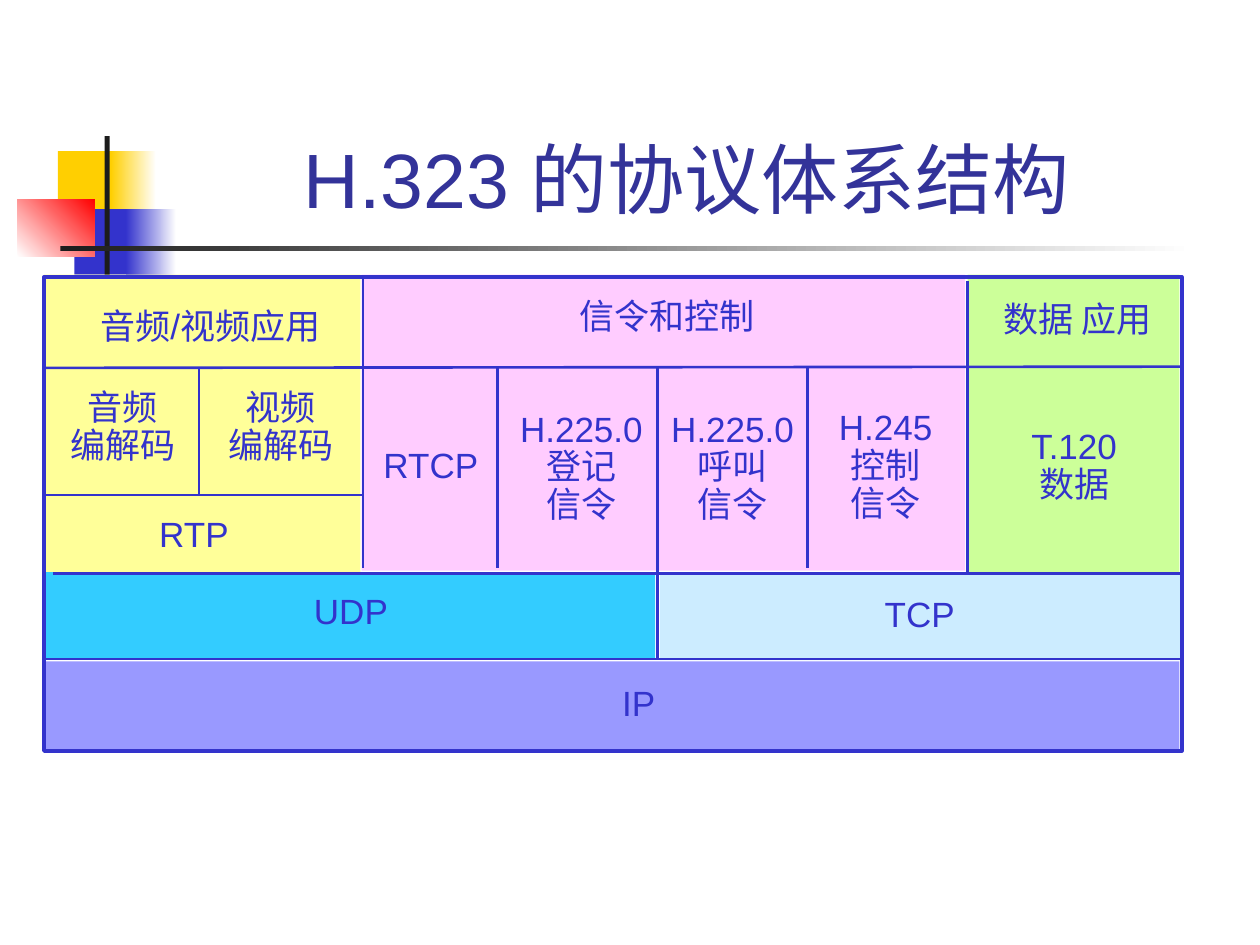
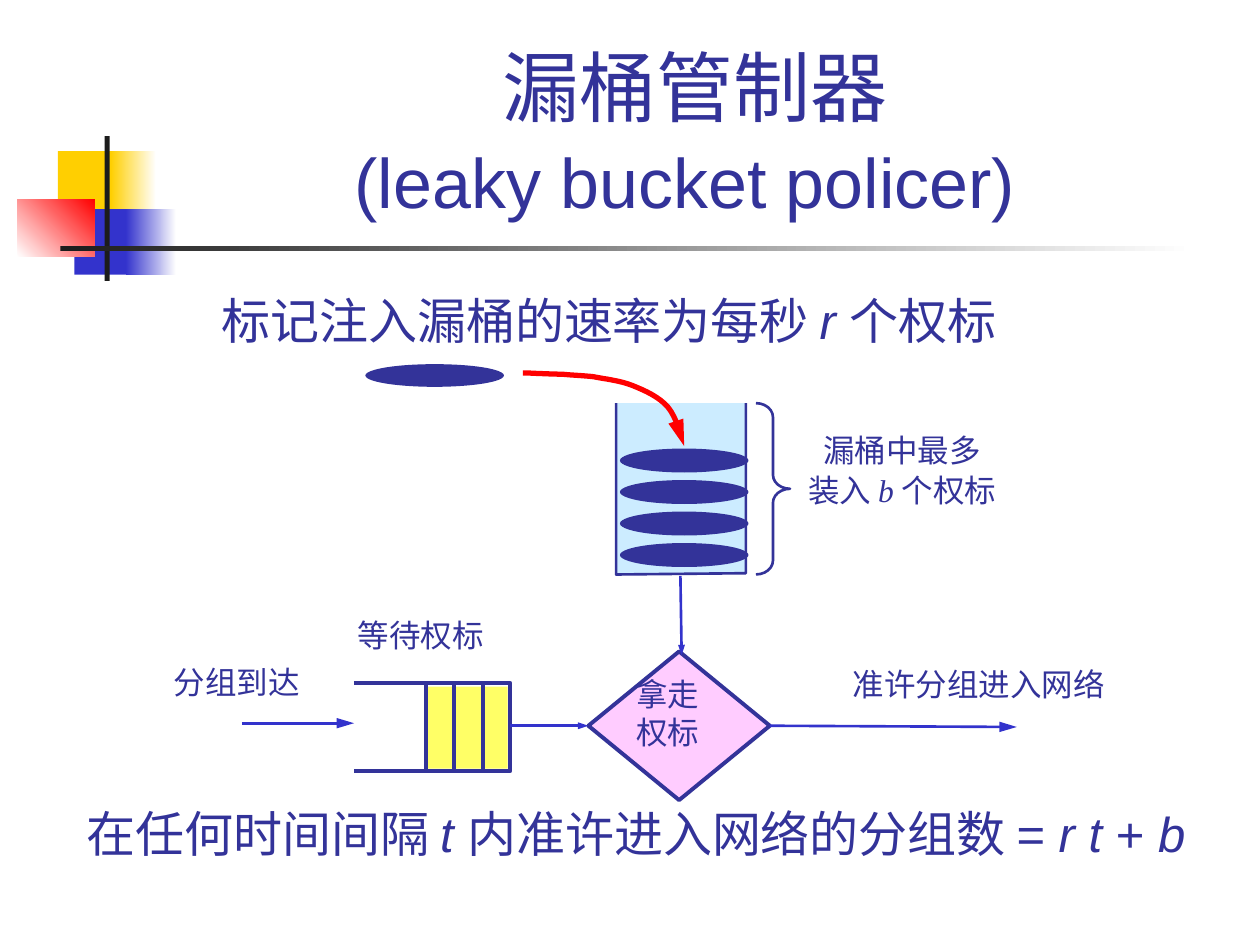
from lxml.etree import SubElement
from pptx import Presentation
from pptx.dml.color import RGBColor
from pptx.enum.shapes import MSO_CONNECTOR, MSO_SHAPE as SHAPE
from pptx.enum.text import MSO_ANCHOR, MSO_AUTO_SIZE as FIT, PP_ALIGN as ALIGN
from pptx.oxml.ns import qn
from pptx.util import Inches, Pt

BLUE, NAVY, INK, WHITE, GOLD, RED = "3333CC", "333399", "1C1C1C", "FFFFFF", "FFCF01", "FF0000"
YELLOW, LIME, PINK, SKY, CYAN, VIOLET, PACKET = (
    "FFFF99", "CCFF99", "FFCCFF", "CCECFF", "33CCFF", "9999FF", "FFFF66")
SANS, SERIF = "Arial", "Times New Roman"
TITLE_BOX = (1.26, 0.23, 8.52, 1.6)

ORNAMENT = [
    ((0.46, 1.2, 0.48, 0.52), GOLD, 0),
    ((0.88, 1.2, 0.36, 0.52), (GOLD, WHITE), 0),
    ((0.59, 1.66, 0.46, 0.52), BLUE, 0),
    ((1, 1.66, 0.4, 0.52), (BLUE, WHITE), 0),
    ((0.14, 1.58, 0.61, 0.46), (WHITE, RED), 45),
    ((0.83, 1.08, 0.04, 1.15), INK, 0),
    ((0.48, 1.95, 9, 0.04), (INK, WHITE), 0),
]

STACK_TITLE = [[("H.323 的协议体系结构 ", 44)]]
STACK_FRAME = (0.35, 2.2, 9.03, 3.76)
LAYERS = [
    ((0.35, 5.25, 9.01, 0.7), VIOLET),
    ((5.24, 4.55, 4.13, 0.69), SKY),
    ((0.35, 4.54, 4.85, 0.69), CYAN),
    ((0.35, 2.18, 2.51, 2.36), YELLOW),
    ((7.68, 2.18, 1.68, 2.38), LIME),
    ((2.87, 2.18, 4.79, 2.35), PINK),
]
LEFT, RIGHT, TOP = 0.35, 9.39, 2.2
APP_END, CODEC_END, SIGNAL_END, TRANSPORT_TOP, IP_TOP = 2.92, 3.93, 4.51, 4.55, 5.23
MEDIA_END, UDP_END = 2.88, 5.22
STACK_RULES = [
    (LEFT, APP_END, RIGHT, 2.91),
    (LEFT, CODEC_END, MEDIA_END, CODEC_END),
    (0.42, TRANSPORT_TOP, RIGHT, TRANSPORT_TOP),
    (LEFT, IP_TOP, RIGHT, IP_TOP),
    (1.58, APP_END, 1.58, CODEC_END),
    (MEDIA_END, TOP, MEDIA_END, SIGNAL_END),
    (3.95, APP_END, 3.95, SIGNAL_END),
    (UDP_END, APP_END, UDP_END, IP_TOP),
    (6.41, APP_END, 6.41, SIGNAL_END),
    (7.68, 2.23, 7.68, TRANSPORT_TOP),
]
LABEL_HEIGHTS = {1: 0.43, 2: 0.7, 3: 1}
LABEL_SLACK = 0.1
PROTOCOLS = [
    (["音频/视频应用"], 0.64, 2.37, 2.06),
    (["信令和控制"], 4.5, 2.29, 1.59),
    (["数据 应用"], 7.86, 2.31, 1.39),
    (["音频", "编解码"], 0.46, 3.05, 1.03),
    (["视频", "编解码"], 1.71, 3.05, 1.04),
    (["RTP"], 1.16, 4.02, 0.76),
    (["RTCP"], 2.94, 3.47, 0.96),
    (["H.225.0", "登记", "信令"], 4.03, 3.22, 1.17),
    (["H.225.0", "呼叫", "信令"], 5.23, 3.22, 1.17),
    (["H.245", "控制", "信令"], 6.56, 3.21, 0.94),
    (["T.120", "数据"], 8.07, 3.36, 0.91),
    (["UDP"], 2.39, 4.63, 0.79),
    (["TCP"], 6.92, 4.65, 0.76),
    (["IP"], 4.84, 5.36, 0.46),
]

BUCKET_TITLE = [[("漏桶管制器", 44)], [("(leaky bucket policer)", 40), (" ", 44)]]
STATEMENTS = [
    ("标记注入漏桶的速率为每秒 *r *个权标", (1.66, 2.26, 6.38, 0.57)),
    ("在任何时间间隔 *t *内准许进入网络的分组数 = *r t* + *b*", (0.59, 6.33, 8.97, 0.57)),
]
NOTES = [
    (["分组到达"], (1.28, 5.21, 1.53, 0.5), ALIGN.LEFT, None),
    (["等待权标"], (2.74, 4.87, 1.53, 0.46), ALIGN.LEFT, 0.9),
    (["拿走", "权标"], (4.95, 5.31, 0.87, 0.9), ALIGN.LEFT, None),
    (["准许分组进入网络"], (6.67, 5.23, 2.87, 0.5), ALIGN.LEFT, None),
    (["漏桶中最多", "装入 *b *个权标"], (6.06, 3.36, 2.2, 0.94), ALIGN.CENTER, 1.05),
]
BUCKET = [(4.89, 3.2), (4.89, 4.56), (5.92, 4.55), (5.92, 3.2)]
BRACE = (6, 3.2, 0.27, 1.36)
NEW_TOKEN = (2.9, 2.89, 1.1, 0.18)
TOKENS = [(4.92, 3.56 + 0.25 * n, 1.02, 0.19) for n in range(4)]
TOKEN_START = (4.15, 2.96)
TOKEN_CURVE = [
    ((4.2, 2.96), (4.37, 2.97), (4.46, 2.97)),
    ((4.56, 2.98), (4.62, 2.98), (4.71, 2.99)),
    ((4.81, 3.01), (4.92, 3.02), (5.02, 3.06)),
    ((5.12, 3.1), (5.23, 3.15), (5.3, 3.23)),
    ((5.37, 3.31), (5.41, 3.48), (5.43, 3.54)),
]
QUEUE = [(2.81, 5.42), (4.05, 5.42), (4.05, 6.12), (2.81, 6.12)]
PACKETS = (3.37, 5.45, 0.66, 0.65)
PACKET_EDGES = [3.38, 3.6, 3.83]
DECISION = (4.67, 5.17, 1.44, 1.18)
LONG_HEAD, SMALL_HEAD = ("med", "lg"), ("sm", "med")
FLOWS = [
    ((1.92, 5.74, 2.81, 5.74), LONG_HEAD),
    ((6.11, 5.76, 8.07, 5.77), LONG_HEAD),
    ((4.05, 5.76, 4.67, 5.76), SMALL_HEAD),
    ((5.4, 4.57, 5.41, 5.2), SMALL_HEAD),
]


def rgb(value):
    return RGBColor.from_string(value)


def inches(values):
    return [Inches(value) for value in values]


def paint(shape, fill=None, line=None, width=1.5, angle=0):
    shape.shadow.inherit = False
    if fill is None:
        shape.fill.background()
    elif isinstance(fill, tuple):
        shape.fill.gradient()
        shape.fill.gradient_angle = angle
        for stop, color in zip(shape.fill.gradient_stops, fill):
            stop.color.rgb = rgb(color)
    else:
        shape.fill.solid()
        shape.fill.fore_color.rgb = rgb(fill)
    if line:
        shape.line.color.rgb = rgb(line)
        shape.line.width = Pt(width)
    else:
        shape.line.fill.background()
    return shape


def add_block(slide, kind, box, *style, **options):
    return paint(slide.shapes.add_shape(kind, *inches(box)), *style, **options)


def add_outline(slide, points, *style):
    start, *rest = [inches(point) for point in points]
    builder = slide.shapes.build_freeform(*start, scale=1.0)
    builder.add_line_segments(rest, close=False)
    return paint(builder.convert_to_shape(), *style)


def add_head(shape, head):
    ln = shape.line._get_or_add_ln()
    SubElement(ln, qn("a:tailEnd"), type="triangle", w=head[0], len=head[1])


def add_rule(slide, ends, color, width=1.5, head=None):
    rule = slide.shapes.add_connector(MSO_CONNECTOR.STRAIGHT, *inches(ends))
    rule.line.color.rgb = rgb(color)
    rule.line.width = Pt(width)
    if head:
        add_head(rule, head)
    SubElement(rule._element.spPr, qn("a:effectLst"))


def set_font(font, name, size, color):
    font.name, font.size = name, Pt(size)
    font.color.rgb = rgb(color)


def add_label(slide, lines, box, font, align=ALIGN.LEFT, spacing=None, wrap=False):
    """Write lines of text, with the parts between asterisks in italics."""
    frame = slide.shapes.add_textbox(*inches(box)).text_frame
    frame.word_wrap = wrap
    frame.auto_size = FIT.SHAPE_TO_FIT_TEXT
    for index, line in enumerate(lines):
        paragraph = frame.add_paragraph() if index else frame.paragraphs[0]
        paragraph.alignment = align
        paragraph.line_spacing = spacing
        set_font(paragraph.font, *font)
        for part, text in enumerate(line.split("*")):
            if text:
                run = paragraph.add_run()
                run.text = text
                if part % 2:
                    run.font.italic = True


def add_slide(deck, title_lines):
    slide = deck.slides.add_slide(deck.slide_layouts[5])
    for box, fill, angle in ORNAMENT:
        add_block(slide, SHAPE.RECTANGLE, box, fill, angle=angle)
    title = slide.shapes.title
    title.left, title.top, title.width, title.height = inches(TITLE_BOX)
    frame = title.text_frame
    frame.vertical_anchor = MSO_ANCHOR.BOTTOM
    frame.auto_size = FIT.NONE
    paragraph = frame.paragraphs[0]
    paragraph.alignment = ALIGN.CENTER
    for index, line in enumerate(title_lines):
        if index:
            paragraph.add_line_break()
        for text, size in line:
            run = paragraph.add_run()
            run.text = text
            set_font(run.font, SANS, size, NAVY)
    return slide


def curve_points(start, segments, steps=8):
    points = [start]
    for first, second, end in segments:
        corners = (points[-1], first, second, end)
        for step in range(1, steps + 1):
            t = step / steps
            weights = ((1 - t) ** 3, 3 * t * (1 - t) ** 2, 3 * t * t * (1 - t), t ** 3)
            points.append(tuple(sum(w * c[axis] for w, c in zip(weights, corners))
                                for axis in (0, 1)))
    return points


def build_stack(deck):
    slide = add_slide(deck, STACK_TITLE)
    for box, color in LAYERS:
        add_block(slide, SHAPE.RECTANGLE, box, color)
    add_block(slide, SHAPE.RECTANGLE, STACK_FRAME, None, BLUE, 2.25)
    for ends in STACK_RULES:
        add_rule(slide, ends, BLUE)
    for lines, left, top, width in PROTOCOLS:
        box = (left - LABEL_SLACK, top, width + 2 * LABEL_SLACK, LABEL_HEIGHTS[len(lines)])
        spacing = 0.9 if len(lines) > 1 else None
        add_label(slide, lines, box, (SANS, 20, BLUE), ALIGN.CENTER, spacing)


def build_bucket(deck):
    slide = add_slide(deck, BUCKET_TITLE)
    add_outline(slide, BUCKET, SKY, NAVY)
    for box in [NEW_TOKEN, *TOKENS]:
        add_block(slide, SHAPE.OVAL, box, NAVY)
    token_path = add_outline(slide, curve_points(TOKEN_START, TOKEN_CURVE), None, RED, 3)
    add_head(token_path, LONG_HEAD)
    brace = add_block(slide, SHAPE.RIGHT_BRACE, BRACE, None, NAVY)
    brace.adjustments[0], brace.adjustments[1] = 0.41, 0.5
    add_outline(slide, QUEUE, WHITE, NAVY, 2.25)
    add_block(slide, SHAPE.RECTANGLE, PACKETS, PACKET)
    for x in PACKET_EDGES:
        add_rule(slide, (x, 5.42, x, 6.11), NAVY, 2.25)
    add_block(slide, SHAPE.DIAMOND, DECISION, PINK, NAVY, 2.25)
    for ends, head in FLOWS:
        add_rule(slide, ends, BLUE, head=head)
    for lines, box, align, spacing in NOTES:
        add_label(slide, lines, box, (SERIF, 18, NAVY), align, spacing)
    for text, box in STATEMENTS:
        add_label(slide, [text], box, (SANS, 28, NAVY), wrap=True)


def main():
    deck = Presentation()
    deck.slide_width, deck.slide_height = inches((10, 7.5))
    build_stack(deck)
    build_bucket(deck)
    deck.save("out.pptx")


if __name__ == "__main__":
    main()
